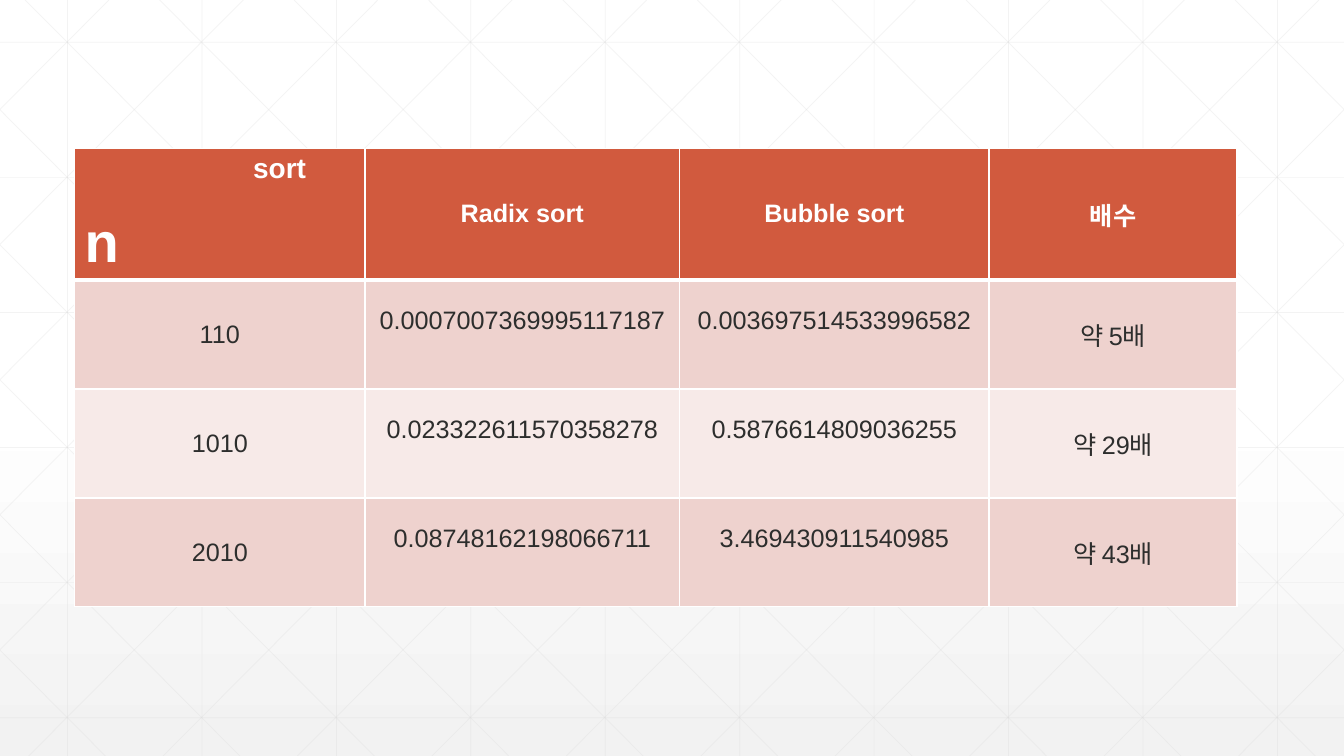
from lxml.etree import SubElement
from pptx import Presentation
from pptx.dml.color import RGBColor
from pptx.enum.shapes import MSO_CONNECTOR
from pptx.enum.text import MSO_ANCHOR as Anchor, PP_ALIGN as Align
from pptx.oxml.ns import qn
from pptx.util import Inches, Pt

WIDTH, HEIGHT = 13.33, 7.5
WHITE, HEADER, INK = "FFFFFF", "D15A3E", "2D2E2D"
BANDS = ["EED2CE", "F7EAE8"]
COLUMN_WIDTHS = [2.88, 3.12, 3.07, 2.46]
HEADER_HEIGHT, ROW_HEIGHT = 1.31, 1.08
HEADINGS = ["Radix sort", "Bubble sort", "배수"]
RESULTS = [
    ["110", "0.0007007369995117187", "0.003697514533996582", "약 5배"],
    ["1010", "0.023322611570358278", "0.5876614809036255", "약 29배"],
    ["2010", "0.08748162198066711", "3.469430911540985", "약 43배"],
]


def color(value):
    return RGBColor.from_string(value)


def add_color(parent, value, alpha=None):
    element = SubElement(parent, qn("a:srgbClr"), val=value)
    if alpha:
        SubElement(element, qn("a:alpha"), val=str(alpha * 1000))


def set_background(slide):
    fill = slide.background.fill
    fill.gradient()
    fill.gradient_angle = 270
    stops = slide.background._cSld.find(".//" + qn("a:gsLst"))
    for stop in list(stops):
        stops.remove(stop)
    for position, value in [(0, WHITE), (53, WHITE), (100, "F2F2F2")]:
        add_color(SubElement(stops, qn("a:gs"), pos=str(position * 1000)), value)


def add_line(slide, x1, y1, x2, y2):
    line = slide.shapes.add_connector(
        MSO_CONNECTOR.STRAIGHT, Inches(x1), Inches(y1), Inches(x2), Inches(y2))
    line.line.width = Pt(0.5)
    line.line.color.rgb = color("D9D9D9")
    properties = line._element.spPr
    tint = properties.find(".//" + qn("a:srgbClr"))
    SubElement(tint, qn("a:alpha"), val="30000")
    SubElement(properties, qn("a:effectLst"))


def add_lattice(slide, width, height):
    step_x, step_y = 4 / 3, 1.34
    slope = step_y / step_x
    for column in range(10):
        x = 0.67 + column * step_x
        add_line(slide, x, 0, x, height)
    for row in range(6):
        y = 0.42 + row * step_y
        add_line(slide, 0, y, width, y)
    for diagonal in range(-5, 10):
        start = 0.25 + diagonal * step_x
        left = max(start, 0)
        right = min(start + height / slope, width)
        top, bottom = (left - start) * slope, (right - start) * slope
        add_line(slide, left, top, right, bottom)
        add_line(slide, width - left, top, width - right, bottom)


def write(paragraph, text, size=18, ink=INK, bold=False, align=Align.CENTER,
          before=0, indent=0):
    paragraph.alignment = align
    if before:
        paragraph.space_before = Pt(before)
    if indent:
        paragraph._p.get_or_add_pPr().set("marL", str(Inches(indent)))
    run = paragraph.add_run()
    run.text = text
    run.font.name = "Arial"
    run.font.size = Pt(size)
    run.font.bold = bold
    run.font.color.rgb = color(ink)


def style_cell(cell, fill, top=1, bottom=1):
    properties = cell._tc.get_or_add_tcPr()
    for side, width in [("L", 1), ("R", 1), ("T", top), ("B", bottom)]:
        border = SubElement(properties, qn("a:ln" + side), w=str(Pt(width)))
        add_color(SubElement(border, qn("a:solidFill")), WHITE)
    cell.fill.solid()
    cell.fill.fore_color.rgb = color(fill)
    cell.vertical_anchor = Anchor.MIDDLE


def add_corner(cell):
    style_cell(cell, HEADER, bottom=3)
    cell.vertical_anchor = Anchor.TOP
    frame = cell.text_frame
    label = dict(ink=WHITE, bold=True, align=Align.LEFT)
    write(frame.paragraphs[0], "sort", size=20, indent=1.67, **label)
    write(frame.add_paragraph(), "n", size=40, before=19.5, **label)


def add_results_table(slide, left, top, width):
    height = HEADER_HEIGHT + len(RESULTS) * ROW_HEIGHT
    table = slide.shapes.add_table(
        len(RESULTS) + 1, len(COLUMN_WIDTHS),
        Inches(left), Inches(top), Inches(width), Inches(height)).table
    for column, share in zip(table.columns, COLUMN_WIDTHS):
        column.width = Inches(width * share / sum(COLUMN_WIDTHS))
    for index, row in enumerate(table.rows):
        row.height = Inches(ROW_HEIGHT if index else HEADER_HEIGHT)

    add_corner(table.cell(0, 0))
    for column, heading in enumerate(HEADINGS, 1):
        cell = table.cell(0, column)
        style_cell(cell, HEADER, bottom=3)
        write(cell.text_frame.paragraphs[0], heading, ink=WHITE, bold=True)
    for row, values in enumerate(RESULTS, 1):
        for column, value in enumerate(values):
            cell = table.cell(row, column)
            style_cell(cell, BANDS[(row - 1) % 2], top=3 if row == 1 else 1)
            if column in (1, 2):
                cell.margin_bottom = Inches(0.33)
            write(cell.text_frame.paragraphs[0], value)


def main():
    presentation = Presentation()
    presentation.slide_width = Inches(WIDTH)
    presentation.slide_height = Inches(HEIGHT)
    slide = presentation.slides.add_slide(presentation.slide_layouts[6])
    set_background(slide)
    add_lattice(slide, WIDTH, HEIGHT)
    add_results_table(slide, 0.74, 1.47, 11.53)
    presentation.save("out.pptx")


if __name__ == "__main__":
    main()
